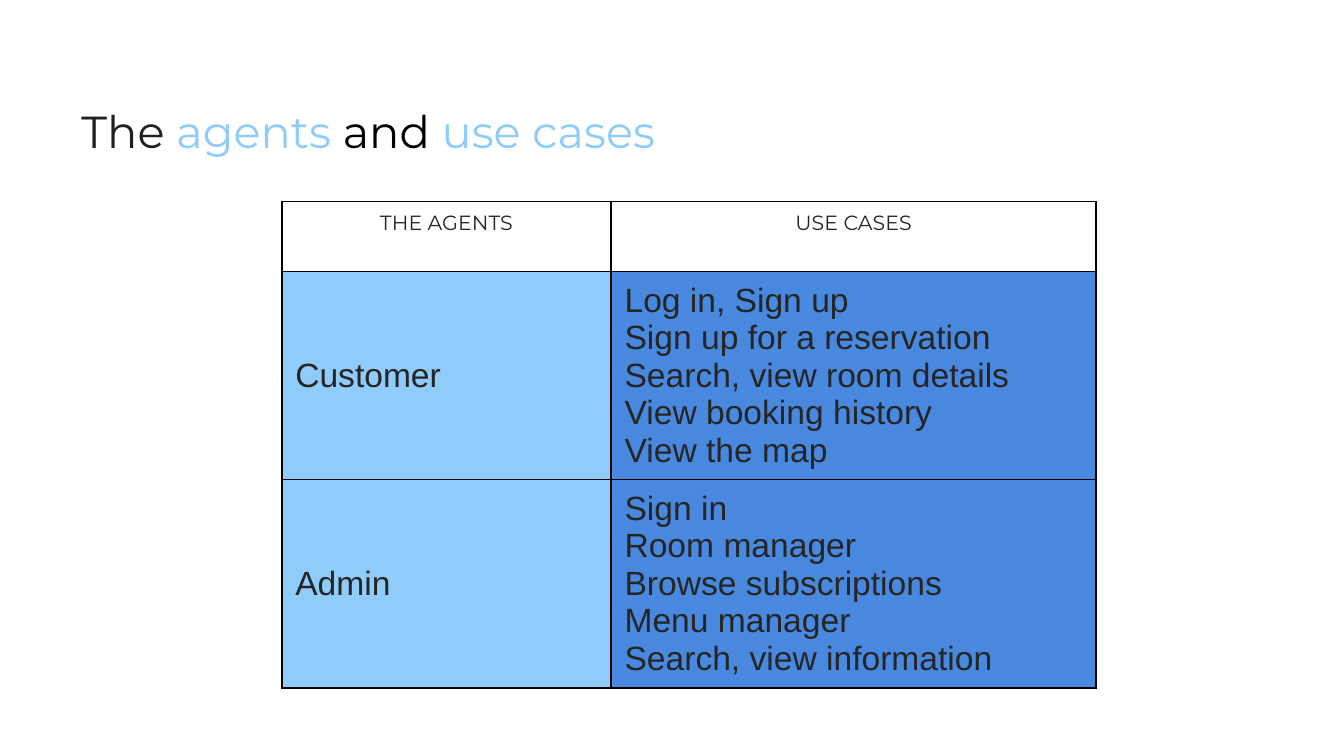
from lxml.etree import SubElement
from pptx import Presentation
from pptx.dml.color import RGBColor
from pptx.enum.text import MSO_ANCHOR, PP_ALIGN
from pptx.oxml.ns import qn
from pptx.util import Pt

# Colours
BLACK = RGBColor(0x00, 0x00, 0x00)
TITLE_INK = RGBColor(0x20, 0x20, 0x20)
INK = RGBColor(0x25, 0x25, 0x25)
SKY = RGBColor(0x90, 0xCC, 0xFA)
BLUE = RGBColor(0x48, 0x88, 0xDE)

# Content
TITLE = [(" The ", TITLE_INK), ("agents ", SKY), ("and", BLACK), (" use cases", SKY)]
HEADER = ["THE AGENTS", "USE CASES"]
AGENTS = [
    ("Customer", ["Log in, Sign up", "Sign up for a reservation",
                  "Search, view room details", "View booking history",
                  "View the map"]),
    ("Admin", ["Sign in", "Room manager", "Browse subscriptions",
               "Menu manager", "Search, view information"]),
]

# Layout, in points
TABLE_LEFT, TABLE_TOP = 151, 108
COL_WIDTHS = [176.4, 259.9]
HEADER_HEIGHT, AGENT_HEIGHT = 37.5, 111.5


def add_borders(cell):
    """Draw a 1 pt black line on every side; lines precede the fill in tcPr."""
    tc_pr = cell._tc.get_or_add_tcPr()
    for i, side in enumerate(("a:lnL", "a:lnR", "a:lnT", "a:lnB")):
        ln = SubElement(tc_pr, qn(side), w=str(Pt(1)))
        fill = SubElement(ln, qn("a:solidFill"))
        SubElement(fill, qn("a:srgbClr"), val=str(BLACK))
        tc_pr.insert(i, ln)


def fill_cell(cell, lines, font, size, color=None, header=False):
    cell.margin_left = cell.margin_right = Pt(7.2)
    cell.margin_top = cell.margin_bottom = Pt(5)
    cell.vertical_anchor = MSO_ANCHOR.TOP if header else MSO_ANCHOR.MIDDLE
    if color is None:
        cell.fill.background()
    else:
        cell.fill.solid()
        cell.fill.fore_color.rgb = color
    add_borders(cell)
    tf = cell.text_frame
    tf.text = "\n".join(lines)
    for p in tf.paragraphs:
        p.alignment = PP_ALIGN.CENTER if header else PP_ALIGN.LEFT
        p.font.name, p.font.size, p.font.bold = font, Pt(size), False
        p.font.color.rgb = INK


prs = Presentation()
prs.slide_width, prs.slide_height = Pt(720), Pt(405)
s = prs.slides.add_slide(prs.slide_layouts[5])

# Title
title = s.shapes.title
title.left, title.top, title.width, title.height = Pt(30.2), Pt(41.8), Pt(590.4), Pt(49.7)
tf = title.text_frame
tf.margin_left = tf.margin_right = tf.margin_top = tf.margin_bottom = Pt(7.2)
tf.vertical_anchor = MSO_ANCHOR.BOTTOM
p = tf.paragraphs[0]
p.alignment = PP_ALIGN.LEFT
p.font.name, p.font.size = "Montserrat", Pt(24)
for text, color in TITLE:
    r = p.add_run()
    r.text = text
    r.font.color.rgb = color

# Table of agents and their use cases
heights = [HEADER_HEIGHT] + [AGENT_HEIGHT] * len(AGENTS)
table = s.shapes.add_table(len(heights), len(COL_WIDTHS), Pt(TABLE_LEFT), Pt(TABLE_TOP),
                           Pt(sum(COL_WIDTHS)), Pt(sum(heights))).table
table.first_row = table.horz_banding = False
for column, width in zip(table.columns, COL_WIDTHS):
    column.width = Pt(width)
for row, height in zip(table.rows, heights):
    row.height = Pt(height)

for col, heading in enumerate(HEADER):
    fill_cell(table.cell(0, col), [heading], "Montserrat", 11, header=True)
for row, (agent, use_cases) in enumerate(AGENTS, start=1):
    fill_cell(table.cell(row, 0), [agent], "Arial", 18, SKY)
    fill_cell(table.cell(row, 1), use_cases, "Arial", 18, BLUE)

prs.save("out.pptx")
